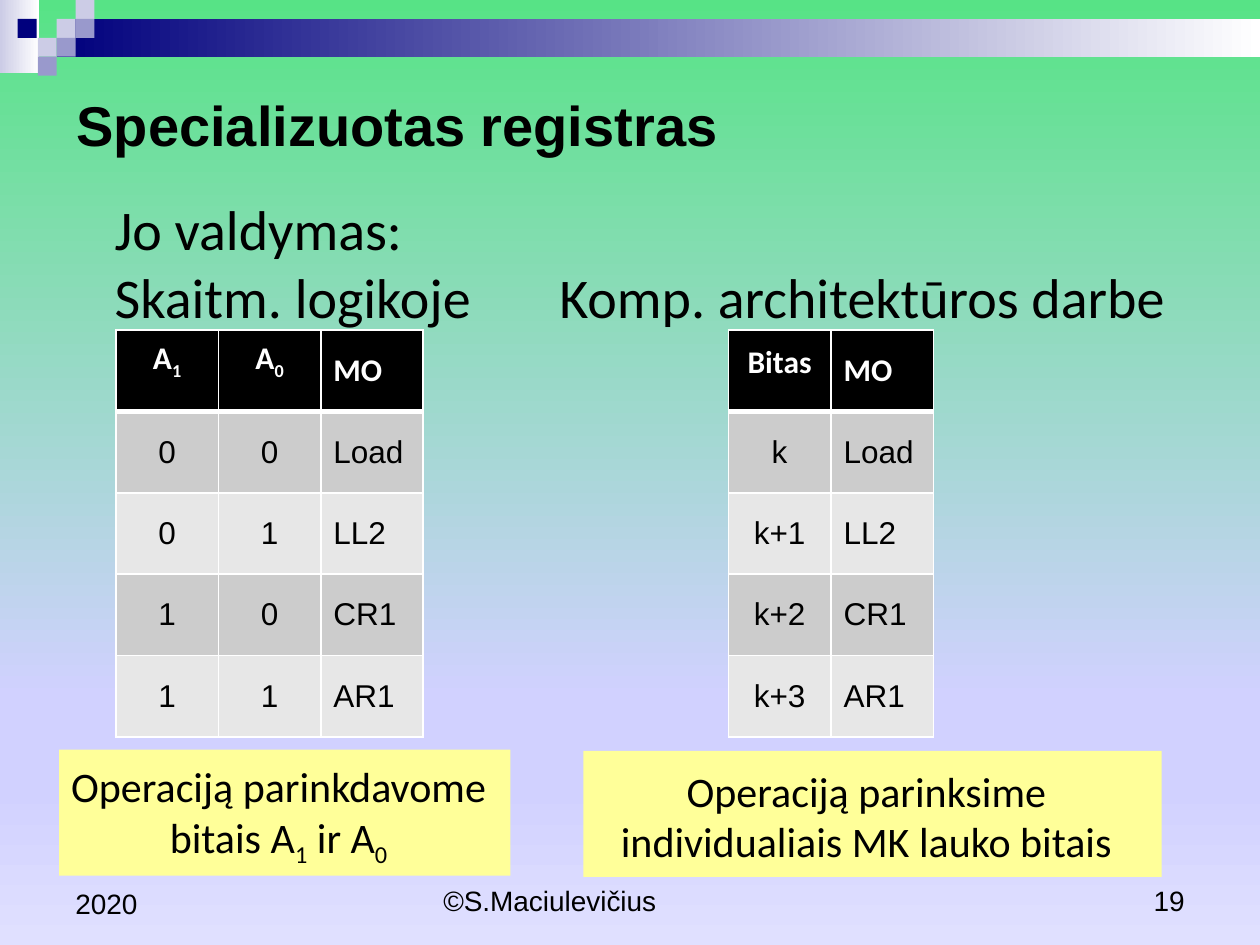
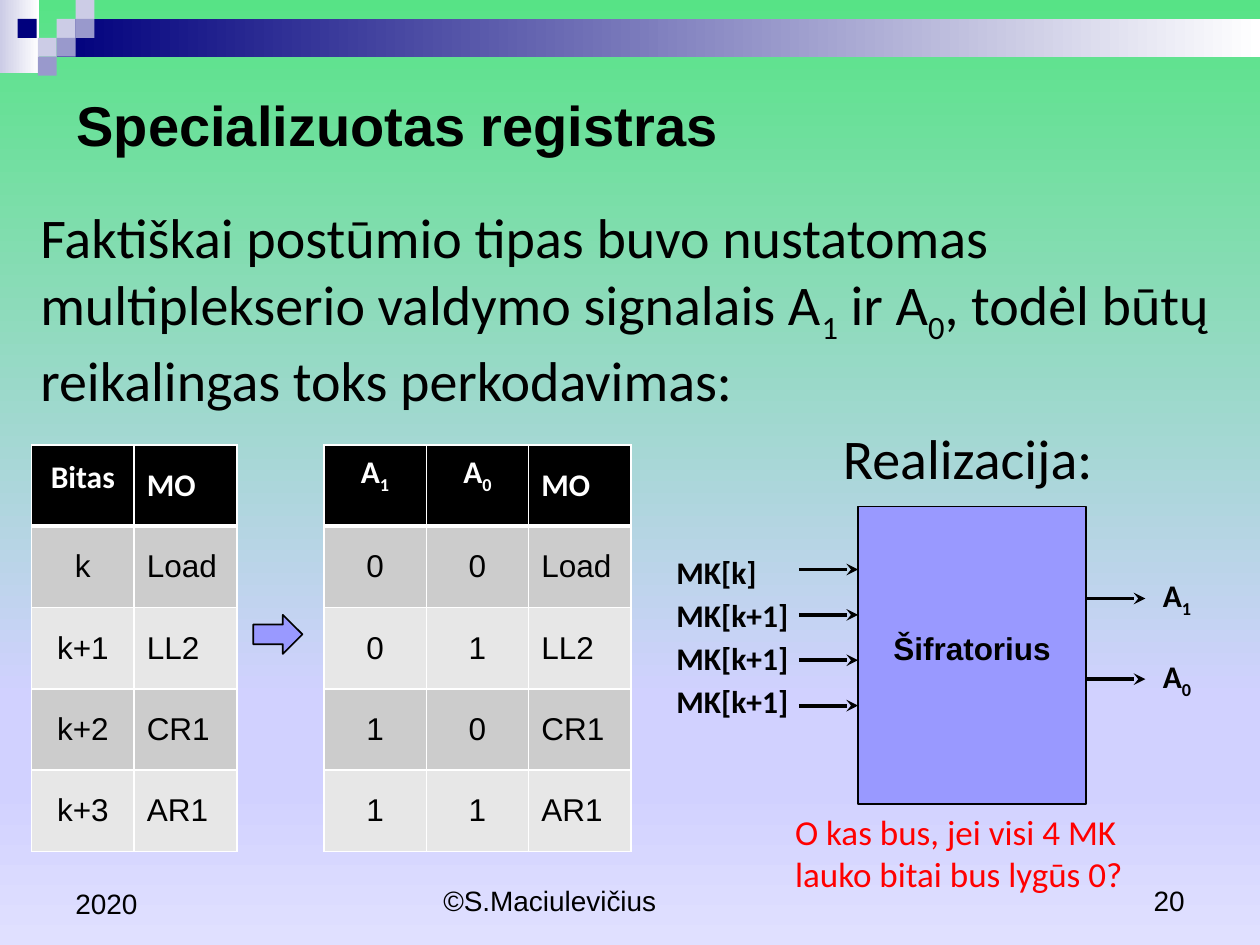
from lxml.etree import SubElement
from pptx import Presentation
from pptx.dml.color import RGBColor
from pptx.enum.shapes import MSO_CONNECTOR, MSO_SHAPE
from pptx.enum.text import MSO_ANCHOR, PP_ALIGN
from pptx.oxml.ns import qn
from pptx.util import Pt

PX = 9144  # EMU in one px, 100 px to the inch
COLORS = {
    "text": "000000", "white": "FFFFFF", "question": "FF0000",
    "navy": "00007D", "lilac": "CCCCE6", "violet": "9999CC",
    "block": "9999FF", "note": "FFFF99",
    "header": "000000", "odd": "CCCCCC", "even": "E7E7E7",
    "green": "57E386", "sky": "D1D1FF", "pale": "E0E0FF",
}
BACKGROUND = [(0, "green"), (74, "sky"), (83, "sky"), (100, "pale")]
SQUARES = [
    (45, 15, "lilac"), (60, 0, "lilac"), (60, 15, "violet"),
    (30, 30, "lilac"), (14, 15, "navy"), (45, 30, "violet"), (30, 45, "violet"),
]
BODY_INSETS = (63, 11, 10, 8)
TEXT_INSETS = (3, 11, 10, 8)
NOTE_INSETS = (0, 11, 10, 8)
LEFT, CENTER, RIGHT = PP_ALIGN.LEFT, PP_ALIGN.CENTER, PP_ALIGN.RIGHT
TOP, MIDDLE, BOTTOM = MSO_ANCHOR.TOP, MSO_ANCHOR.MIDDLE, MSO_ANCHOR.BOTTOM

OPERATIONS = ["Load", "LL2", "CR1", "AR1"]
ADDRESS_TABLE = [["A_1", "A_0", "MO"]] + [
    [str(i // 2), str(i % 2), op] for i, op in enumerate(OPERATIONS)]
BIT_TABLE = [["Bitas", "MO"]] + [
    [f"k+{i}" if i else "k", op] for i, op in enumerate(OPERATIONS)]


def rgb(name):
    return RGBColor.from_string(COLORS[name])


def emu(*lengths):
    return [n * PX for n in lengths]


def set_gradient(fill, element, stops, angle):
    """Fill with (percent, colour) stops; the angle runs counterclockwise."""
    fill.gradient()
    fill.gradient_angle = angle
    gs_list = element.find(".//" + qn("a:gsLst"))
    for gs in list(gs_list):
        gs_list.remove(gs)
    for percent, color in stops:
        gs = SubElement(gs_list, qn("a:gs"), pos=str(percent * 1000))
        SubElement(gs, qn("a:srgbClr"), val=COLORS[color])


class Deck:
    def __init__(self):
        self.prs = Presentation()
        self.prs.slide_width, self.prs.slide_height = emu(1000, 750)
        self.slide = None

    def new_slide(self, title, number):
        self.slide = self.prs.slides.add_slide(self.prs.slide_layouts[6])
        set_gradient(self.slide.background.fill, self.slide.element, BACKGROUND, 270)
        self.band((0, 0, 31, 58), "lilac")
        self.band((45, 15, 955, 30), "navy")
        for x, y, color in SQUARES:
            self.shape((x, y, 15, 15), color)
        self.text((342, 683, 317, 50), ["©S.Maciulevičius"], 16, "Arial", anchor=BOTTOM)
        self.text((717, 683, 233, 50), [str(number)], 16, "Arial",
                  anchor=BOTTOM, align=RIGHT)
        self.text((50, 683, 233, 52), ["2020"], 16, "Arial", anchor=BOTTOM)
        self.text((51, 58, 900, 81), [title], 32, "Arial", bold=True, anchor=MIDDLE)

    def runs(self, p, text, size, font="Calibri", color="text", bold=False):
        """Add the text to p; the character after each "_" is a subscript."""
        first, *rest = text.split("_")
        pieces = [(first, False)]
        for part in rest:
            pieces += [(part[0], True), (part[1:], False)]
        for piece, subscript in pieces:
            if not piece:
                continue
            r = p.add_run()
            r.text = piece
            r.font.size, r.font.name, r.font.bold = Pt(size), font, bold
            r.font.color.rgb = rgb(color)
            if subscript:
                r._r.get_or_add_rPr().set("baseline", "-25000")

    def paragraphs(self, tf, lines, size, font="Calibri", color="text", bold=False,
                   align=LEFT, anchor=TOP, insets=(10, 5, 10, 5), before=0, tab=None):
        tf.word_wrap = True
        tf.vertical_anchor = anchor
        (tf.margin_left, tf.margin_top,
         tf.margin_right, tf.margin_bottom) = emu(*insets)
        for i, line in enumerate(lines):
            p = tf.add_paragraph() if i else tf.paragraphs[0]
            p.alignment = align
            if before and i:
                p.space_before = Pt(before)
            if tab:
                tabs = SubElement(p._p.get_or_add_pPr(), qn("a:tabLst"))
                SubElement(tabs, qn("a:tab"), pos=str(tab * PX), algn="l")
            self.runs(p, line, size, font, color, bold)

    def text(self, box, lines, size, font="Calibri", **style):
        tb = self.slide.shapes.add_textbox(*emu(*box))
        self.paragraphs(tb.text_frame, lines, size, font, **style)

    def shape(self, box, fill, kind=MSO_SHAPE.RECTANGLE, outlined=False):
        sp = self.slide.shapes.add_shape(kind, *emu(*box))
        sp.shadow.inherit = False
        sp.fill.solid()
        sp.fill.fore_color.rgb = rgb(fill)
        if outlined:
            sp.line.color.rgb = rgb("text")
            sp.line.width = Pt(1)
        else:
            sp.line.fill.background()
        return sp

    def band(self, box, color):
        sp = self.shape(box, color)
        set_gradient(sp.fill, sp.element, [(0, color), (100, "white")], 0)

    def note(self, box, text):
        sp = self.shape(box, "note")
        self.paragraphs(sp.text_frame, [text], 24, align=CENTER, anchor=MIDDLE,
                        insets=NOTE_INSETS)

    def arrow(self, x, y, length=47):
        cn = self.slide.shapes.add_connector(
            MSO_CONNECTOR.STRAIGHT, *emu(x, y, x + length, y))
        cn.line.color.rgb = rgb("text")
        cn.line.width = Pt(2.25)
        sp_pr = cn.element.spPr
        SubElement(sp_pr.find(qn("a:ln")), qn("a:tailEnd"), type="stealth")
        SubElement(sp_pr, qn("a:effectLst"))

    def table(self, x, y, rows):
        cols = len(rows[0])
        frame = self.slide.shapes.add_table(
            len(rows), cols, *emu(x, y, round(81.4 * cols), 323))
        tbl = frame.table
        tbl.horz_banding = False
        for i, row in enumerate(rows):
            for j, text in enumerate(row):
                self.cell(tbl.cell(i, j), text, i, is_operation=j == cols - 1)

    def cell(self, cell, text, row, is_operation):
        cell.vertical_anchor = MIDDLE
        cell.fill.solid()
        fill = "header" if row == 0 else "odd" if row % 2 else "even"
        cell.fill.fore_color.rgb = rgb(fill)
        p = cell.text_frame.paragraphs[0]
        p.alignment = LEFT if is_operation else CENTER
        if row == 0:
            if not is_operation:
                cell.margin_left = cell.margin_right = 0
                cell.margin_top = cell.margin_bottom = 0
                p.line_spacing = Pt(12.7)
            self.runs(p, text, 18, color="white", bold=True)
        else:
            self.runs(p, text, 18, "Arial")
        self.borders(cell, bottom=3 if row == 0 else 1)

    def borders(self, cell, bottom):
        tc_pr = cell._tc.get_or_add_tcPr()
        sides = {"L": 1, "R": 1, "T": 1, "B": bottom}
        for i, (side, width) in enumerate(sides.items()):
            ln = SubElement(tc_pr, qn(f"a:ln{side}"), w=str(Pt(width)))
            fill = SubElement(ln, qn("a:solidFill"))
            SubElement(fill, qn("a:srgbClr"), val=COLORS["white"])
            tc_pr.insert(i, ln)  # borders must precede the cell fill


def control_slide(deck):
    deck.new_slide("Specializuotas registras", 19)
    deck.text((28, 143, 953, 127),
              ["Jo valdymas:", "Skaitm. logikoje\tKomp. architektūros darbe"],
              32, anchor=MIDDLE, insets=BODY_INSETS, tab=353)
    deck.table(92, 262, ADDRESS_TABLE)
    deck.table(578, 262, BIT_TABLE)
    deck.note((47, 595, 358, 100), "Operaciją parinkdavome bitais A_1 ir A_0")
    deck.note((463, 596, 459, 100),
              "Operaciją parinksime individualiais MK lauko bitais")


def recoding_slide(deck):
    deck.new_slide("Specializuotas registras", 20)
    deck.text((29, 152, 953, 181),
              ["Faktiškai postūmio tipas buvo nustatomas multiplekserio valdymo "
               "signalais A_1 ir A_0, todėl būtų reikalingas toks perkodavimas:"],
              32, anchor=MIDDLE, insets=TEXT_INSETS)
    deck.text((606, 325, 331, 73), ["Realizacija:"], 32, anchor=MIDDLE,
              insets=BODY_INSETS)
    deck.table(257, 353, ADDRESS_TABLE)
    deck.table(25, 353, BIT_TABLE)
    deck.shape((201, 488, 39, 31), "block", MSO_SHAPE.RIGHT_ARROW, outlined=True)

    encoder = deck.shape((681, 402, 181, 236), "block", outlined=True)
    deck.paragraphs(encoder.text_frame, ["Šifratorius"], 18, "Arial", bold=True,
                    align=CENTER, insets=(10, 97, 10, 5))
    deck.text((527, 434, 112, 168), ["MK[k]"] + ["MK[k+1]"] * 3, 18, bold=True,
              before=3)
    deck.text((913, 452, 59, 101), ["A_1", "A_0"], 18, bold=True, before=22)
    for i in range(4):
        deck.arrow(634, 452 + 36 * i)
    for y in (475, 539):
        deck.arrow(862, y)
    deck.text((628, 632, 281, 86),
              ["O kas bus, jei visi 4 MK lauko bitai bus lygūs 0?"], 20,
              color="question", anchor=MIDDLE, insets=TEXT_INSETS)


def main():
    deck = Deck()
    control_slide(deck)
    recoding_slide(deck)
    deck.prs.save("out.pptx")


if __name__ == "__main__":
    main()
